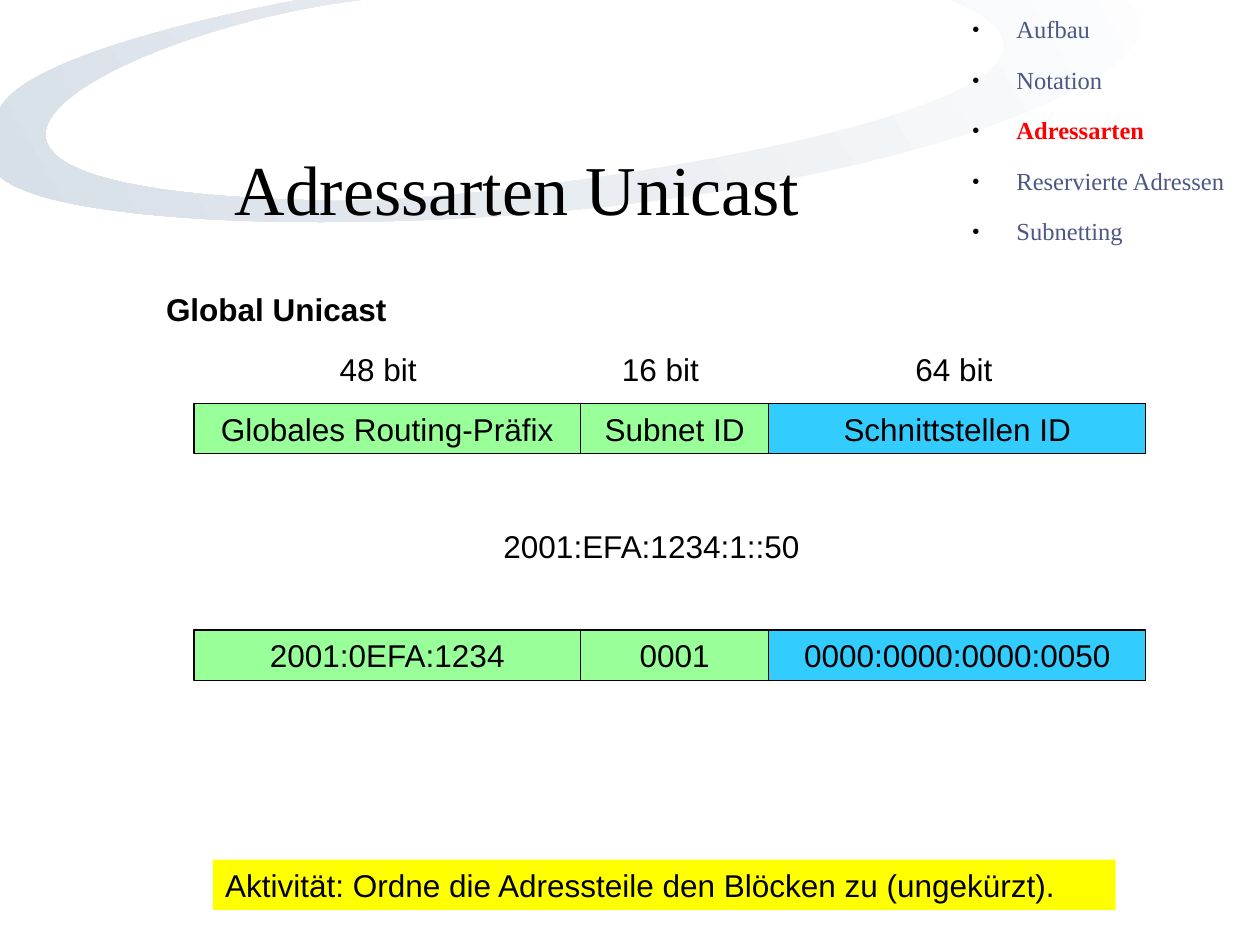
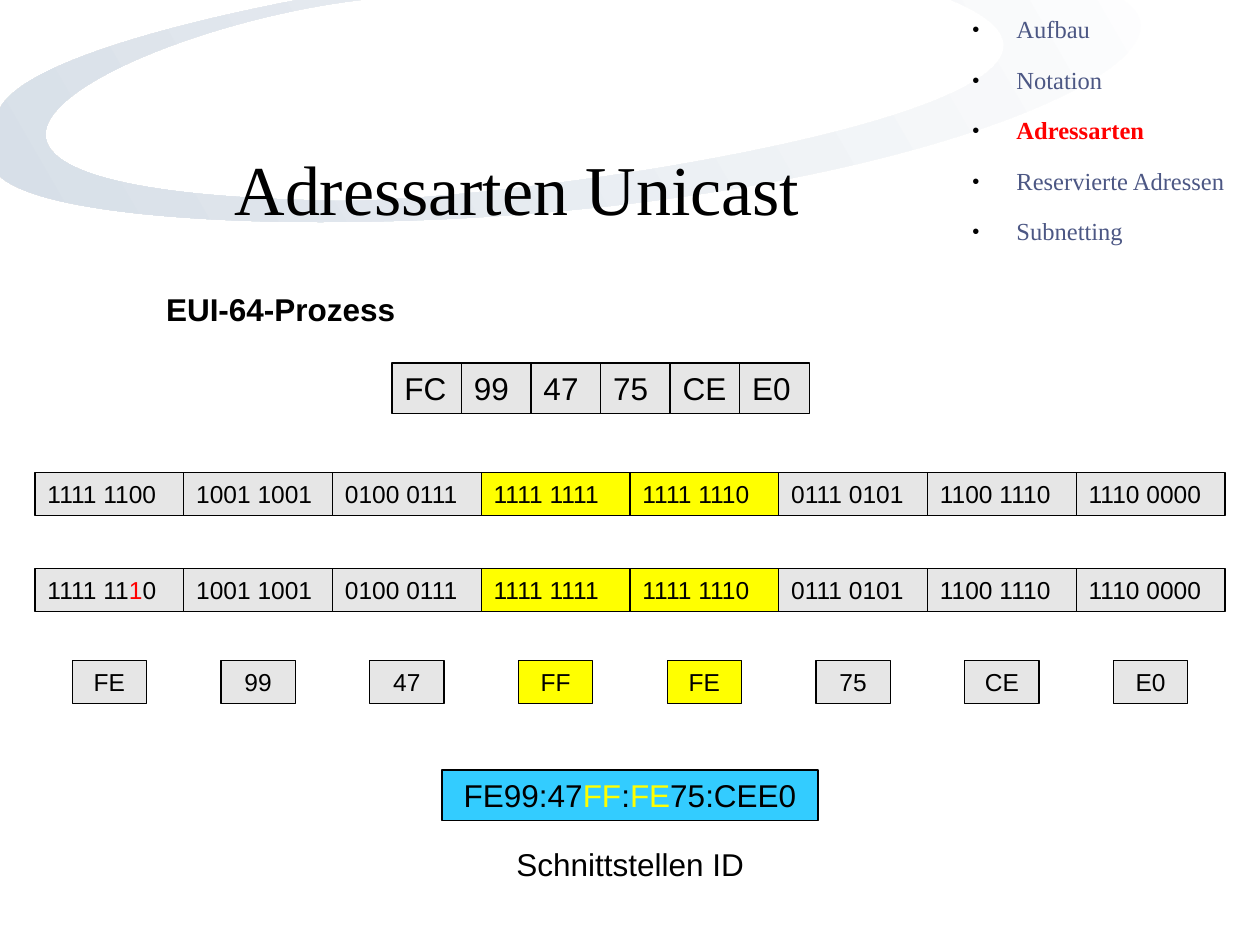
from dataclasses import dataclass
from itertools import accumulate

from lxml import etree
from pptx import Presentation
from pptx.dml.color import RGBColor
from pptx.enum import shapes, text
from pptx.oxml import ns
from pptx.util import Pt


@dataclass(frozen=True)
class Theme:
    """Colours, fonts and sizes shared by the slides."""
    black: str = "000000"
    white: str = "FFFFFF"
    red: str = "FF0000"
    slate: str = "4C5784"
    mist: str = "D1DAE4"
    green: str = "99FF99"
    blue: str = "33CCFF"
    grey: str = "E6E6E6"
    yellow: str = "FFFF00"
    serif: str = "Times New Roman"
    sans: str = "Arial"
    title: int = 40
    body: int = 18
    small: int = 14
    line: float = 0.75
    tall: float = 28.8
    low: float = 24.5


T = Theme()
TITLE = "Adressarten Unicast"
TOPICS = ["Aufbau", "Notation", "Adressarten", "Reservierte Adressen", "Subnetting"]
SWOOSH = [
    (169.92, 0),
    (136.08, 6.48), (15.84, 30.96), (0, 61.92),
    (0, 76.32), (0, 86.4), (0, 100.8),
    (22.32, 120.96), (112.32, 126), (162, 126.72),
    (471.6, 131.04), (704.16, 39.6), (641.52, 0),
    (582.48, 0), (602.64, 0), (543.6, 0),
    (688.32, 60.48), (267.84, 120.24), (180, 114.48),
    (-108.72, 107.28), (72.72, 15.84), (205.92, 0),
    (190.08, 0), (181.44, 0), (169.92, 0),
]


def rgb(colour):
    """Return the colour object for a hex string."""
    return RGBColor.from_string(colour)


def add_run(p, words, size, font, colour, bold=False):
    """Append one formatted run to a paragraph."""
    r = p.add_run()
    r.text = words
    r.font.size, r.font.name, r.font.bold = Pt(size), font, bold
    r.font.color.rgb = rgb(colour)


def place(sp, box):
    """Move a shape to a box given in points."""
    sp.left, sp.top, sp.width, sp.height = (Pt(v) for v in box)


def clear_insets(tf, anchor):
    """Strip the margins of a text frame and fix its anchor."""
    tf.margin_left = tf.margin_top = tf.margin_right = tf.margin_bottom = 0
    tf.auto_size, tf.word_wrap = text.MSO_AUTO_SIZE.NONE, True
    tf.vertical_anchor = anchor


def indent(p, left, first=0):
    """Set the left margin and first-line indent of a paragraph."""
    pPr = p._p.get_or_add_pPr()
    pPr.set("marL", str(Pt(left)))
    pPr.set("indent", str(Pt(first)))
    return pPr


def add_box(parent, box, pieces, size=T.body, fill=None, line=True,
            align=text.PP_ALIGN.LEFT, bold=False):
    """Add a text box, or a rectangle when a fill is given."""
    area = [Pt(v) for v in box]
    if fill:
        sp = parent.add_shape(shapes.MSO_SHAPE.RECTANGLE, *area)
        sp.shadow.inherit = False
        sp.fill.solid()
        sp.fill.fore_color.rgb = rgb(fill)
        if line:
            sp.line.color.rgb, sp.line.width = rgb(T.black), Pt(T.line)
        else:
            sp.line.fill.background()
    else:
        sp = parent.add_textbox(*area)
    tf = sp.text_frame
    tf.word_wrap = True
    tf.auto_size = text.MSO_AUTO_SIZE.SHAPE_TO_FIT_TEXT
    tf.vertical_anchor = text.MSO_ANCHOR.TOP
    p = tf.paragraphs[0]
    p.alignment = align
    if isinstance(pieces, str):
        pieces = [(pieces, T.black)]
    for words, colour in pieces:
        add_run(p, words, size, T.sans, colour, bold)


def add_row(parent, left, top, widths, height, cells, fills, **style):
    """Add touching filled boxes from left to right."""
    lefts = accumulate(widths[:-1], initial=left)
    for x, width, cell, fill in zip(lefts, widths, cells, fills):
        add_box(parent, (x, top, width, height), cell, fill=fill, **style)


def add_swoosh(prs, s):
    """Draw the curved band and move it to the slide master."""
    pts = [(Pt(x), Pt(y)) for x, y in SWOOSH]
    fb = s.shapes.build_freeform(*pts[0])
    fb.add_line_segments(pts[1:], close=True)
    sp = fb.convert_to_shape()
    sp.shadow.inherit = False
    sp.line.fill.background()
    sp.fill.gradient()
    sp.fill.gradient_angle = 210
    for stop, colour in zip(sp.fill.gradient_stops, (T.white, T.mist)):
        stop.color.rgb = rgb(colour)
    segments = list(sp.element.iter(ns.qn("a:lnTo")))
    for i in range(0, len(segments), 3):
        curve = etree.Element(ns.qn("a:cubicBezTo"))
        segments[i].addprevious(curve)
        for segment in segments[i:i + 3]:
            curve.append(segment[0])
            segment.getparent().remove(segment)
    prs.slide_master.shapes.element.insert(2, sp.element)


def fill_title(sp, box):
    """Set the slide title in its placeholder."""
    place(sp, box)
    clear_insets(sp.text_frame, text.MSO_ANCHOR.MIDDLE)
    p = sp.text_frame.paragraphs[0]
    p.alignment = text.PP_ALIGN.LEFT
    indent(p, 103)
    add_run(p, TITLE, T.title, T.serif, T.black)


def fill_agenda(sp, box, current):
    """List the topics in the body placeholder and mark the current one."""
    place(sp, box)
    tf = sp.text_frame
    clear_insets(tf, text.MSO_ANCHOR.TOP)
    for i, topic in enumerate(TOPICS):
        p = tf.add_paragraph() if i else tf.paragraphs[0]
        p.line_spacing, p.space_before, p.space_after = 0.95, Pt(0), Pt(12.9)
        pPr = indent(p, 33.84, -25.2)
        colour = etree.SubElement(pPr, ns.qn("a:buClr"))
        etree.SubElement(colour, ns.qn("a:srgbClr"), val=T.black)
        etree.SubElement(pPr, ns.qn("a:buSzPct"), val="82000")
        etree.SubElement(pPr, ns.qn("a:buFont"), typeface=T.sans)
        etree.SubElement(pPr, ns.qn("a:buChar"), char="•")
        active = topic == current
        add_run(p, topic, T.small, T.serif, T.red if active else T.slate, active)


def new_slide(prs, heading):
    """Add a slide with title, agenda and bold heading."""
    s = prs.slides.add_slide(prs.slide_layouts[1])
    fill_title(s.shapes.title, (31, 62, 442, 90))
    fill_agenda(s.placeholders[1], (547, 9.5, 158.5, 158.5), "Adressarten")
    add_box(s.shapes, (87.8, 162, 312, T.tall), heading, bold=True)
    return s


def draw_unicast(s, box):
    """Show the parts of a global address and an example below."""
    x, y, w, h = box
    widths = [221, 107.5, w - 328.5]
    fills = [T.green, T.green, T.blue]
    centre = text.PP_ALIGN.CENTER
    group = s.shapes.add_group_shape().shapes
    add_row(group, x, y + 34, widths, T.tall,
            ["Globales Routing-Präfix", "Subnet ID", "Schnittstellen ID"],
            fills, align=centre)
    for dx, bits in zip((76.2, 237.5, 405.2), (48, 16, 64)):
        add_box(group, (x + dx, y, 70.5, T.tall), f"{bits} bit")
    add_box(s.shapes, (x + 169.8, y + 101, 204, T.tall), "2001:EFA:1234:1::50")
    add_row(s.shapes, x, y + 163.5, widths, T.tall,
            ["2001:0EFA:1234", "0001", "0000:0000:0000:0050"], fills, align=centre)
    add_box(s.shapes, (x + 10.8, y + h - T.tall, 516, T.tall),
            "Aktivität: Ordne die Adressteile den Blöcken zu (ungekürzt).",
            fill=T.yellow, line=False)


def draw_eui(s, box):
    """Show the steps from the hardware address to the interface ID."""
    x, y, w, h = box
    mac = ["FC", "99", "47", "75", "CE", "E0"]
    add_row(s.shapes, x + 204, y, [39.75] * 6, T.tall, mac, [T.grey] * 6)

    column = w / 8
    fills = [T.grey] * 3 + [T.yellow] * 2 + [T.grey] * 3
    octets = mac[:3] + ["FF", "FE"] + mac[3:]
    bits = [f"{int(o[0], 16):04b} {int(o[1], 16):04b}" for o in octets]
    flipped = [("1111 11", T.black), ("1", T.red), ("0", T.black)]
    for dy, cells in ((62.5, bits), (117.4, [flipped] + bits[1:])):
        add_row(s.shapes, x, y + dy, [column] * 8, T.low, cells, fills, size=T.small)

    for i, (octet, fill) in enumerate(zip(["FE"] + octets[1:], fills)):
        add_box(s.shapes, (x + (i + 0.25) * column, y + 170, column / 2, T.low),
                octet, T.small, fill, align=text.PP_ALIGN.CENTER)

    result = [("FE99:47", T.black), ("FF", T.yellow), (":", T.black),
              ("FE", T.yellow), ("75:CEE0", T.black)]
    add_box(s.shapes, (x + (w - 215) / 2, y + 232.5, 215, T.tall), result,
            fill=T.blue, align=text.PP_ALIGN.CENTER)
    add_box(s.shapes, (x + 268, y + h - T.tall, 150.5, T.tall), "Schnittstellen ID")


def main():
    """Build both slides and save the file."""
    prs = Presentation()
    prs.slide_width, prs.slide_height = Pt(720), Pt(540)
    s = new_slide(prs, "Global Unicast")
    add_swoosh(prs, s)
    draw_unicast(s, (110.8, 196.5, 544, 323.5))
    s = new_slide(prs, "EUI-64-Prozess")
    draw_eui(s, (20, 207.5, 680, 300.8))
    prs.save("out.pptx")


main()
